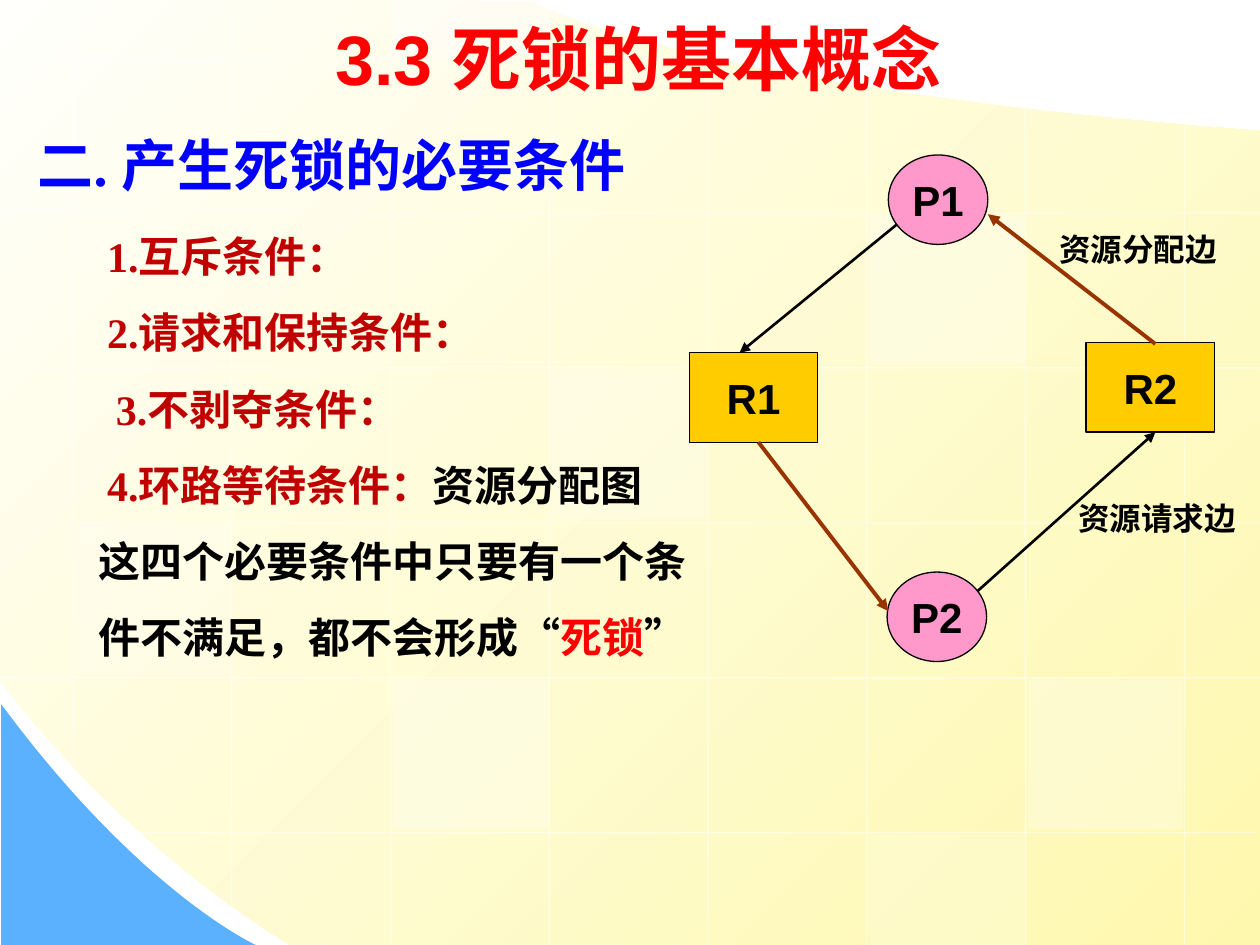
"""Build the slide on the necessary conditions of deadlock, on a 100 by 75 grid."""
from dataclasses import dataclass
from typing import NamedTuple

from lxml.etree import SubElement as Sub
from pptx import Presentation
from pptx.dml.color import RGBColor as Rgb
from pptx.enum.shapes import MSO_CONNECTOR as Link, MSO_SHAPE as Kind
from pptx.enum.text import MSO_ANCHOR as Anchor, MSO_AUTO_SIZE as Fit, PP_ALIGN as Align
from pptx.oxml.ns import qn
from pptx.util import Inches, Pt


@dataclass(frozen=True)
class Theme:
    sans: str = "Arial"
    serif: str = "Times New Roman"
    black: str = "000000"
    white: str = "FFFFFF"
    red: str = "FF0000"
    wine: str = "C00000"
    blue: str = "0000FF"
    brown: str = "993300"
    pink: str = "FF99CC"
    gold: str = "FFCC00"
    sky: str = "5CB1FE"
    pale: str = "FFFFFB"
    cream: str = "FEF8AF"
    title: int = 40
    head: int = 32
    body: int = 24
    note: int = 18


class Box(NamedTuple):
    col: float
    row: float
    wide: float
    high: float


class Node(NamedTuple):
    text: str
    kind: Kind
    fill: str
    box: Box


class Edge(NamedTuple):
    start: tuple
    end: tuple
    tint: str
    width: float


class Item(NamedTuple):
    text: str
    tail: str
    last: str
    inset: float
    font: str
    tint: str
    mark: str


T = Theme()
COLS, ROWS = 100, 75
STEP_X, STEP_Y = 12.6, 12.3
LEFT, TOP = 5.8, 4.6

FIELD = [(100, 10.4), (100, 75), (23, 75),
         ((8.6, 66.1), (-0.1, 53.9), (0, 53.9)),
         (-0.1, -0.1), (42.1, 0.1), ((42.1, 0.1), (53.7, 6.9), (100, 10.4))]
CORNER = [(0.1, 55.9), (0.1, 75), (20.3, 75), ((20.3, 75), (11.2, 70.9), (0.1, 55.9))]
UPRIGHT = [(0, 60.9), (0, 71.9), (0, 75), (0, 75), (4.3, 75), (6.8, 75), (8.5, 75), (9.8, 75)]
LEVEL = [(56.8, 0), (100, 0), (100, 0), (100, 0), (100, 0), (99.7, 11.1)]
TILES = [(3, 2, 25), (6, 4, 30), (0, 3, 20), (5, 5, 20), (2, -1, 40), (2, 4, 30), (5, 1, 30)]
NODES = [
    Node("P1", Kind.OVAL, T.pink, Box(70.5, 12.3, 7.9, 7.1)),
    Node("P2", Kind.OVAL, T.pink, Box(70.4, 45.4, 7.9, 7.1)),
    Node("R1", Kind.RECTANGLE, T.gold, Box(54.7, 28, 10.2, 7.1)),
    Node("R2", Kind.RECTANGLE, T.gold, Box(86.2, 27.2, 10.2, 7.1)),
]
EDGES = [
    Edge((71.2, 17.8), (58.7, 28), T.black, 1.5),
    Edge((60.2, 35.1), (70.5, 48.5), T.brown, 2.25),
    Edge((77.6, 46.9), (91.7, 34.3), T.black, 1.5),
    Edge((91.7, 27.3), (78.4, 17), T.brown, 2.25),
]
NOTES = [("资源请求边", Box(84.6, 39.1, 15.4, 4)), ("资源分配边", Box(83.1, 17.8, 15.4, 4))]
ITEMS = [
    Item("1.互斥条件：", "", "", 7.5, T.serif, T.wine, T.wine),
    Item("2.请求和保持条件：", "", "", 7.5, T.serif, T.wine, T.wine),
    Item("3.不剥夺条件：", "", "", 8.2, T.serif, T.wine, T.wine),
    Item("4.环路等待条件：", "资源分配图", "", 7.5, T.serif, T.wine, T.black),
    Item("这四个必要条件中只要有一个条", "", "", 6.8, T.sans, T.black, T.black),
    Item("件不满足，都不会形成“", "死锁", "”", 6.8, T.sans, T.black, T.red),
]


def unit(num: float) -> int:
    return Inches(num / 10)


def place(box: Box) -> tuple:
    return tuple(unit(num) for num in box)


def paint(shape, tint: str, alpha: int = 100) -> None:
    shape.shadow.inherit = False
    shape.line.fill.background()
    shape.fill.solid()
    shape.fill.fore_color.rgb = Rgb.from_string(tint)
    fade(shape, alpha)


def fade(shape, alpha: int) -> None:
    if alpha < 100:
        tone = next(shape._element.spPr.iter(qn("a:srgbClr")))
        Sub(tone, qn("a:alpha")).set("val", str(alpha * 1000))


def style(para, font: str, size: int, tint: str) -> None:
    para.font.name, para.font.size, para.font.bold = font, Pt(size), True
    para.font.color.rgb = Rgb.from_string(tint)


def bend(start: tuple, curve: tuple, count: int = 24) -> list:
    pts = (start, *curve)
    out = []
    for k in range(1, count + 1):
        t = k / count
        parts = ((1 - t) ** 3, 3 * t * (1 - t) ** 2, 3 * t * t * (1 - t), t ** 3)
        out.append(tuple(sum(w * p[axis] for w, p in zip(parts, pts)) for axis in (0, 1)))
    return out


def outline(shapes, route: list):
    pts = [route[0]]
    for stop in route[1:]:
        pts += bend(pts[-1], stop) if isinstance(stop[0], tuple) else [stop]
    pen = shapes.build_freeform(*map(unit, pts[0]))
    pen.add_line_segments([(unit(x), unit(y)) for x, y in pts[1:]], close=True)
    return pen.convert_to_shape()


def stroke(shapes, edge: Edge, arrow: bool = True, alpha: int = 100) -> None:
    wire = shapes.add_connector(Link.STRAIGHT, *map(unit, edge.start + edge.end))
    wire.line.width = Pt(edge.width)
    wire.line.color.rgb = Rgb.from_string(edge.tint)
    fade(wire, alpha)
    if arrow:
        Sub(wire.line._get_or_add_ln(), qn("a:tailEnd")).set("type", "triangle")
    Sub(wire._element.spPr, qn("a:effectLst"))


def scene(shapes) -> None:
    field = outline(shapes, FIELD)
    paint(field, T.cream)
    field.fill.gradient()
    field.fill.gradient_angle = 315
    for stop, tint, spot in zip(field.fill.gradient_stops, (T.pale, T.cream), (0, 1)):
        stop.color.rgb, stop.position = Rgb.from_string(tint), spot
    paint(outline(shapes, CORNER), T.sky)
    for k, (top, base) in enumerate(UPRIGHT):
        x = LEFT + k * STEP_X
        stroke(shapes, Edge((x, top), (x, base), T.white, 0.75), False, 50)
    for k, (right, left) in enumerate(LEVEL):
        y = TOP + k * STEP_Y
        stroke(shapes, Edge((right, y), (left, y), T.white, 0.75), False, 50)
    for col, row, alpha in TILES:
        x, y = LEFT + col * STEP_X + 0.2, TOP + row * STEP_Y + 0.2
        top, base = max(y, 0), min(y + 11.8, ROWS)
        tile = shapes.add_shape(Kind.RECTANGLE, *place(Box(x, top, 12.3, base - top)))
        paint(tile, T.white, alpha)


def label(shapes, text: str, box: Box, font: str, size: int, tint: str) -> None:
    frame = shapes.add_textbox(*place(box)).text_frame
    frame.word_wrap = True
    frame.text = text
    style(frame.paragraphs[0], font, size, tint)


def draw(shapes, node: Node) -> None:
    shape = shapes.add_shape(node.kind, *place(node.box))
    paint(shape, node.fill)
    shape.line.color.rgb, shape.line.width = Rgb.from_string(T.black), Pt(0.75)
    frame = shape.text_frame
    frame.margin_left = frame.margin_right = frame.margin_top = frame.margin_bottom = 0
    frame.vertical_anchor = Anchor.MIDDLE
    frame.text = node.text
    frame.paragraphs[0].alignment = Align.CENTER
    style(frame.paragraphs[0], T.sans, T.body, T.black)


def settle(shapes, hold, box: Box, anchor: Anchor):
    shapes._spTree.append(hold._element)
    hold.left, hold.top, hold.width, hold.height = place(box)
    frame = hold.text_frame
    frame.auto_size, frame.word_wrap, frame.vertical_anchor = Fit.NONE, True, anchor
    return frame


def listing(frame) -> None:
    for k, item in enumerate(ITEMS):
        para = frame.add_paragraph() if k else frame.paragraphs[0]
        props = para._p.get_or_add_pPr()
        props.set("marL", str(unit(item.inset)))
        props.set("indent", "0")
        Sub(props, qn("a:buNone"))
        para.line_spacing, para.space_before = 1.2, Pt(9 if k else 0)
        style(para, item.font, T.body, item.tint)
        for text, tint in ((item.text, None), (item.tail, item.mark), (item.last, None)):
            if text:
                run = para.add_run()
                run.text = text
                if tint:
                    run.font.color.rgb = Rgb.from_string(tint)


def main() -> None:
    deck = Presentation()
    deck.slide_width, deck.slide_height = unit(COLS), unit(ROWS)
    slide = deck.slides.add_slide(deck.slide_layouts[1])
    shapes = slide.shapes
    title, body = slide.placeholders
    scene(shapes)
    label(shapes, "二. 产生死锁的必要条件", Box(2, 9.9, 71.6, 6.4), T.serif, T.head, T.blue)
    listing(settle(shapes, body, Box(0, 17, 59.1, 36.1), Anchor.TOP))
    for node in NODES:
        draw(shapes, node)
    for edge in EDGES:
        stroke(shapes, edge)
    for text, box in NOTES:
        label(shapes, text, box, T.sans, T.note, T.black)
    frame = settle(shapes, title, Box(25.6, 0.8, 52.8, 7.6), Anchor.MIDDLE)
    frame.text = "3.3 死锁的基本概念"
    frame.paragraphs[0].alignment = Align.LEFT
    style(frame.paragraphs[0], T.sans, T.title, T.red)
    deck.save("out.pptx")


if __name__ == "__main__":
    main()
